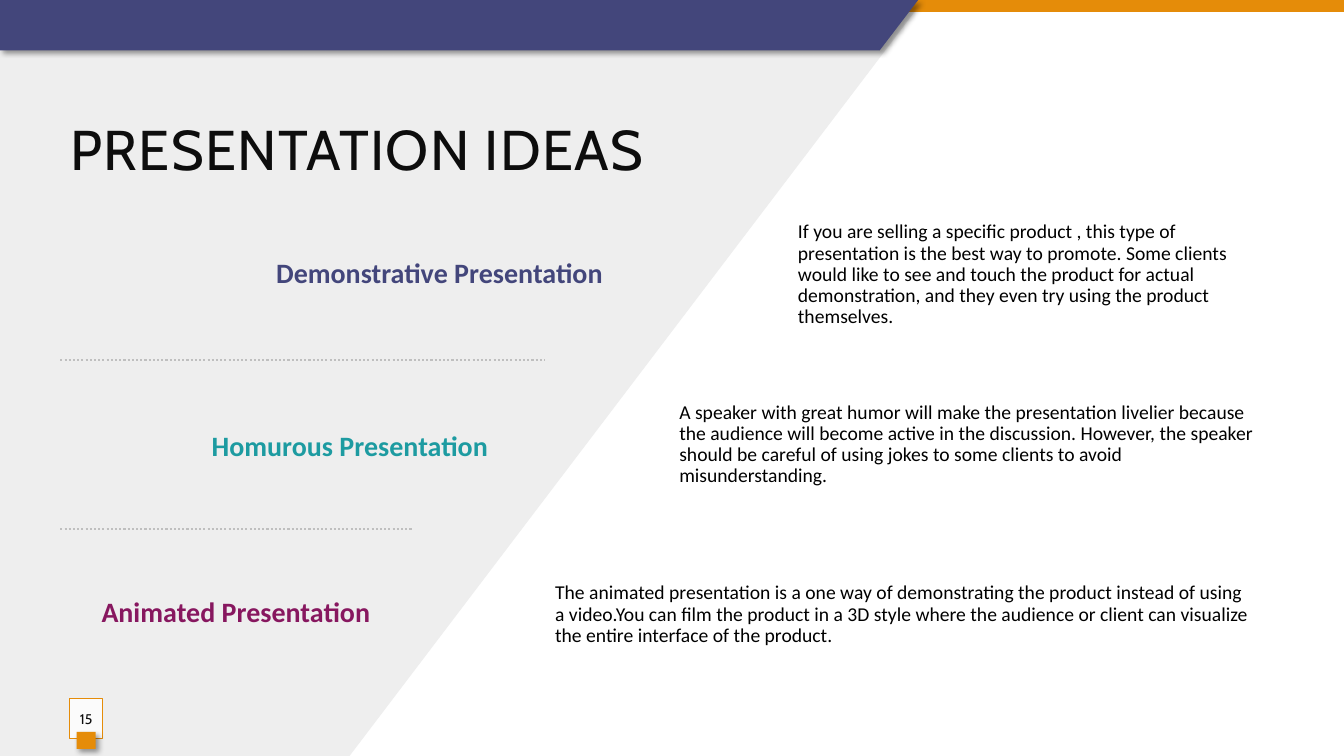
from lxml import etree
from pptx import Presentation
from pptx import util as u
from pptx.dml.color import RGBColor
from pptx.enum import dml, shapes, text
from pptx.oxml.ns import qn

INDIGO, ORANGE, INK = "43467B", "E58C09", "0D0D0D"
LEFT = 1.52
BODY_RIGHT, BODY_TOP, BODY_STEP, BODY_HEIGHT = 31.85, 5.66, 4.28, 2.54

# label, colour, label box (left, top, right), left edge of the description, description
IDEAS = [
    ("Demonstrative Presentation", INDIGO, (1.73, 6.32, 15.44), 19.86,
     "If you are selling a specific product , this type of presentation is the best way "
     "to promote. Some clients would like to see and touch the product for actual "
     "demonstration, and they even try using the product themselves."),
    ("Homurous Presentation", "1D9BA1", (LEFT, 10.69, 12.55), 16.87,
     "A speaker with great humor will make the presentation livelier because the audience "
     "will become active in the discussion. However, the speaker should be careful of "
     "using jokes to some clients to avoid misunderstanding."),
    ("Animated Presentation", "87175F", (LEFT, 14.88, 9.58), 13.74,
     "The animated presentation is a one way of demonstrating the product instead of using "
     "a video.You can film the product in a 3D style where the audience or client can "
     "visualize the entire interface of the product."),
]
DIVIDERS = [(9.07, 13.72), (13.34, 10.41)]  # height on the slide, right end


def rgb(code):
    return RGBColor.from_string(code)


def cm(*lengths):
    return [u.Cm(length) for length in lengths]


class SlideBuilder:
    """Holds the slide's style and adds its elements, measured in centimetres."""

    heading_font, body_font = "Cabin", "Calibri"

    def __init__(self, page):
        self.page = page

    def paint(self, shape, fill, line=None, shadow=False):
        shape.fill.solid()
        shape.fill.fore_color.rgb = rgb(fill)
        if line:
            shape.line.color.rgb = rgb(line)
            shape.line.width = u.Pt(0.75)
        else:
            shape.line.fill.background()
        shape.shadow.inherit = False
        if shadow:
            effects = shape._element.spPr.find(qn("a:effectLst"))
            outer = etree.SubElement(effects, qn("a:outerShdw"), blurRad=str(u.Pt(4)),
                                     dist=str(u.Pt(3)), dir="2700000", algn="tl",
                                     rotWithShape="0")
            color = etree.SubElement(outer, qn("a:srgbClr"), val="000000")
            etree.SubElement(color, qn("a:alpha"), val="40000")
        return shape

    def panel(self, points, fill, shadow=False):
        start, *others = [tuple(cm(*point)) for point in points]
        outline = self.page.shapes.build_freeform(*start)
        outline.add_line_segments(others, close=True)
        return self.paint(outline.convert_to_shape(), fill, shadow=shadow)

    def rectangle(self, place, fill, line=None, shadow=False):
        shape = self.page.shapes.add_shape(shapes.MSO_SHAPE.RECTANGLE, *cm(*place))
        return self.paint(shape, fill, line, shadow)

    def set_text(self, shape, words, size, color, font, bold=False,
                 align=text.PP_ALIGN.LEFT):
        frame = shape.text_frame
        frame.text = words
        frame.word_wrap = True
        frame.auto_size = text.MSO_AUTO_SIZE.NONE
        frame.vertical_anchor = text.MSO_ANCHOR.MIDDLE
        para = frame.paragraphs[0]
        para.alignment = align
        para.space_before = u.Pt(0)
        span = para.runs[0]
        span.font.name, span.font.size, span.font.bold = font, u.Pt(size), bold
        span.font.color.rgb = rgb(color)
        return para

    def title(self, place, words):
        box = self.page.shapes.title
        box.left, box.top, box.width, box.height = cm(*place)
        para = self.set_text(box, words, 40, INK, self.heading_font)
        para.runs[0].font._element.set("spc", "100")
        # The placeholder comes first on a new slide: lift it above the panels.
        self.page.shapes._spTree.append(box._element)

    def text_box(self, place, words, size, color, **style):
        box = self.page.shapes.add_textbox(*cm(*place))
        para = self.set_text(box, words, size, color, self.body_font, **style)
        para.line_spacing = 0.9
        para.space_after = u.Pt(2)

    def divider(self, top, right):
        line = self.page.shapes.add_connector(shapes.MSO_CONNECTOR.STRAIGHT,
                                              *cm(LEFT, top, right, top))
        line.line.color.rgb = rgb("BFBFBF")
        line.line.width = u.Pt(1.5)
        line.line.dash_style = dml.MSO_LINE.ROUND_DOT
        etree.SubElement(line._element.spPr, qn("a:effectLst"))

    def page_number(self, place, number):
        box = self.rectangle(place, "FFFFFF", ORANGE)
        color = box._element.spPr.find(qn("a:solidFill"))[0]
        etree.SubElement(color, qn("a:alpha"), val="82000")
        box.text_frame.margin_left = box.text_frame.margin_right = 0
        self.set_text(box, number, 10, INK, self.heading_font,
                      align=text.PP_ALIGN.CENTER)


def main():
    deck = Presentation()
    deck.slide_width, deck.slide_height = cm(33.87, 19.05)
    builder = SlideBuilder(deck.slides.add_slide(deck.slide_layouts[5]))

    builder.panel([(0, 0), (23.14, 0), (23.14, 0.18), (8.81, 19.05), (0, 19.05)], "EEEEEE")
    builder.rectangle((0, 0, 33.87, 0.3), ORANGE)
    builder.panel([(0, 0), (23.14, 0), (22.17, 1.27), (0, 1.27)], INDIGO, shadow=True)
    builder.title((LEFT, 2.74, 30.02, 1.96), "PRESENTATION IDEAS")

    for row, (label, color, (left, top, right), body_left, body) in enumerate(IDEAS):
        builder.text_box((body_left, BODY_TOP + row * BODY_STEP,
                          BODY_RIGHT - body_left, BODY_HEIGHT), body, 14, "000000")
        builder.text_box((left, top, right - left, 1.17), label, 20, color,
                         bold=True, align=text.PP_ALIGN.RIGHT)
    for top, right in DIVIDERS:
        builder.divider(top, right)

    builder.page_number((1.75, 17.6, 0.84, 1.02), "15")
    builder.rectangle((1.93, 18.44, 0.48, 0.43), ORANGE, shadow=True)
    deck.save("out.pptx")


if __name__ == "__main__":
    main()
